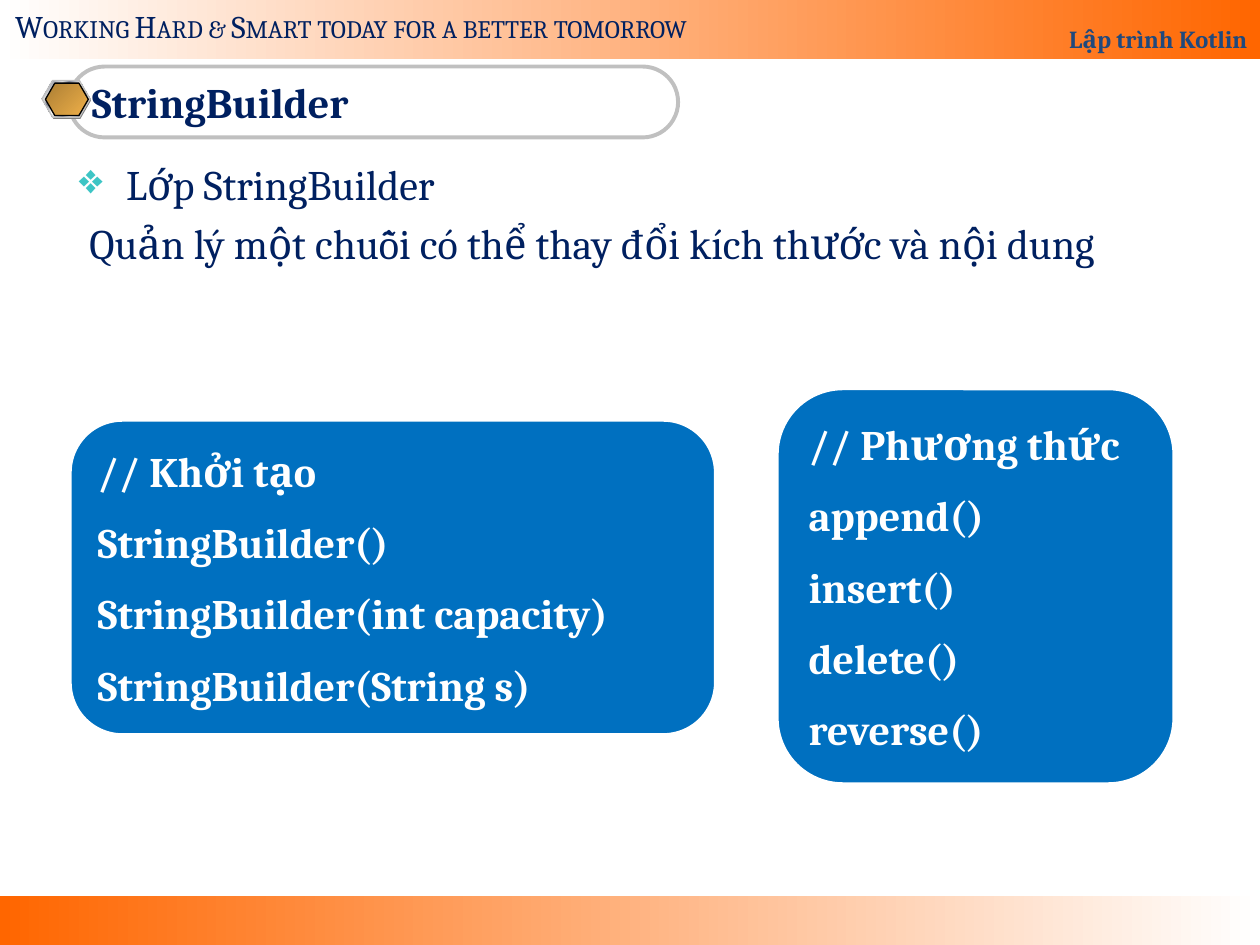
from lxml import etree
from pptx import Presentation
from pptx.dml.color import RGBColor
from pptx.enum.shapes import MSO_SHAPE
from pptx.enum.text import MSO_ANCHOR, PP_ALIGN
from pptx.oxml.ns import qn
from pptx.util import Pt

RECT, ROUNDED, HEXAGON = MSO_SHAPE.RECTANGLE, MSO_SHAPE.ROUNDED_RECTANGLE, MSO_SHAPE.HEXAGON
TOP, MIDDLE, BOTTOM = MSO_ANCHOR.TOP, MSO_ANCHOR.MIDDLE, MSO_ANCHOR.BOTTOM
LEFT, RIGHT, JUSTIFY = PP_ALIGN.LEFT, PP_ALIGN.RIGHT, PP_ALIGN.JUSTIFY

COLORS = {
    "white": "FFFFFF", "orange": "FF6600", "navy": "002060", "course": "1F497D",
    "card": "0070C0", "bullet": "3DC5C5", "silver": "C0C0C0", "gray": "808080",
    "black": "000000", "light": "E6E6E6", "steel": "7D8496",
    "bronze": "AB7E34", "gold": "EFB049",
}

SLOGAN = "Working Hard & Smart today for a better tomorrow"
COURSE = "Lập trình Kotlin"
TITLE = "StringBuilder"
BODY = ["Lớp StringBuilder", "Quản lý một chuỗi có thể thay đổi kích thước và nội dung"]
CARDS = [
    ((444, 222, 227, 226),
     ["// Phương thức", "append()", "insert()", "delete()", "reverse()"]),
    ((40, 240, 369, 180),
     ["// Khởi tạo", "StringBuilder()", "StringBuilder(int capacity)",
      "StringBuilder(String s)"]),
]

BANNER = [(0, "white"), (100, "orange")]
BANNER_REVERSED = [(0, "orange"), (100, "white")]
METAL = [(0, "light"), (7, "steel"), (26, "light"), (34, "steel"), (46, "light"),
         (50, "white"), (54, "light"), (66, "steel"), (74, "light"), (93, "steel"),
         (100, "light")]
BRONZE = [(0, "bronze"), (100, "gold")]

# Box, fill and outline of each layer of the title badge, back to front
BADGE = [
    ((24.5, 47, 27.5, 21), "gray", None),
    ((24, 46, 27.5, 21), METAL, "silver"),
    ((26, 47.5, 24.5, 18.5), BRONZE, "black"),
]


def rgb(name):
    return RGBColor.from_string(COLORS[name])


def fill_gradient(shape, stops, angle):
    """Fill with (percent, colour) stops; the angle runs counter-clockwise."""
    shape.fill.gradient()
    shape.fill.gradient_angle = angle
    stop_list = shape.fill._fill._gradFill.find(qn("a:gsLst"))
    for old_stop in list(stop_list):
        stop_list.remove(old_stop)
    for percent, color in stops:
        stop = etree.SubElement(stop_list, qn("a:gs"), pos=str(percent * 1000))
        etree.SubElement(stop, qn("a:srgbClr"), val=COLORS[color])


def add_panel(slide, kind, box, fill=None, line=None, width=0.75, angle=0):
    panel = slide.shapes.add_shape(kind, *map(Pt, box))
    panel.shadow.inherit = False
    if fill is None:
        panel.fill.background()
    elif isinstance(fill, str):
        panel.fill.solid()
        panel.fill.fore_color.rgb = rgb(fill)
    else:
        fill_gradient(panel, fill, angle)
    if line:
        panel.line.color.rgb = rgb(line)
        panel.line.width = Pt(width)
    else:
        panel.line.fill.background()
    return panel


def write(shape, lines, color, size=24, bold=False, align=LEFT, anchor=MIDDLE, gap=0):
    frame = shape.text_frame
    frame.word_wrap = True
    frame.vertical_anchor = anchor
    font_format = {"name": "Cambria", "size": Pt(size), "bold": bold}
    for index, line in enumerate(lines):
        paragraph = frame.add_paragraph() if index else frame.paragraphs[0]
        paragraph.alignment = align
        if index:
            paragraph.space_before = Pt(gap)
        run = paragraph.add_run()
        run.text = line
        for attribute, value in font_format.items():
            setattr(run.font, attribute, value)
        run.font.color.rgb = rgb(color)
    return frame.paragraphs


def add_bullet(paragraph, indent):
    properties = paragraph._p.get_or_add_pPr()
    properties.set("marL", str(Pt(indent)))
    properties.set("indent", str(-Pt(indent)))
    bullet_color = etree.SubElement(properties, qn("a:buClr"))
    etree.SubElement(bullet_color, qn("a:srgbClr"), val=COLORS["bullet"])
    etree.SubElement(properties, qn("a:buChar"), char="❖")


def add_banners(slide):
    add_panel(slide, RECT, (0, 512, 720, 28), BANNER_REVERSED)
    header = add_panel(slide, RECT, (0, -4, 720, 38), BANNER)
    course, = write(header, [COURSE], "course", 14, True, RIGHT, BOTTOM)
    course.line_spacing = 1.8
    slogan_box = slide.shapes.add_textbox(*map(Pt, (1.5, 0.5, 425, 29)))
    slogan, = write(slogan_box, [SLOGAN], "navy", 18, anchor=TOP)
    slogan.runs[0].font._element.set("cap", "small")


def add_title(slide):
    pill = add_panel(slide, ROUNDED, (39.5, 38, 348, 40.5), line="silver", width=2.25)
    pill.adjustments[0] = 0.5
    write(pill, [TITLE], "navy", bold=True)
    for box, fill, line in BADGE:
        layer = add_panel(slide, HEXAGON, box, fill, line, angle=315)
        layer.adjustments[0] = 0.289


def add_body(slide):
    body = slide.shapes.add_textbox(*map(Pt, (38, 87, 648, 312)))
    heading, detail = write(body, BODY, "navy", align=JUSTIFY, anchor=TOP, gap=4.8)
    add_bullet(heading, 27)
    detail._p.get_or_add_pPr().set("marL", str(Pt(6)))


def main():
    presentation = Presentation()
    presentation.slide_width, presentation.slide_height = Pt(720), Pt(540)
    slide = presentation.slides.add_slide(presentation.slide_layouts[6])
    add_banners(slide)
    add_title(slide)
    add_body(slide)
    for box, lines in CARDS:
        card = add_panel(slide, ROUNDED, box, "card", "white", 2)
        write(card, lines, "white", bold=True, gap=12)
    presentation.save("out.pptx")


if __name__ == "__main__":
    main()
